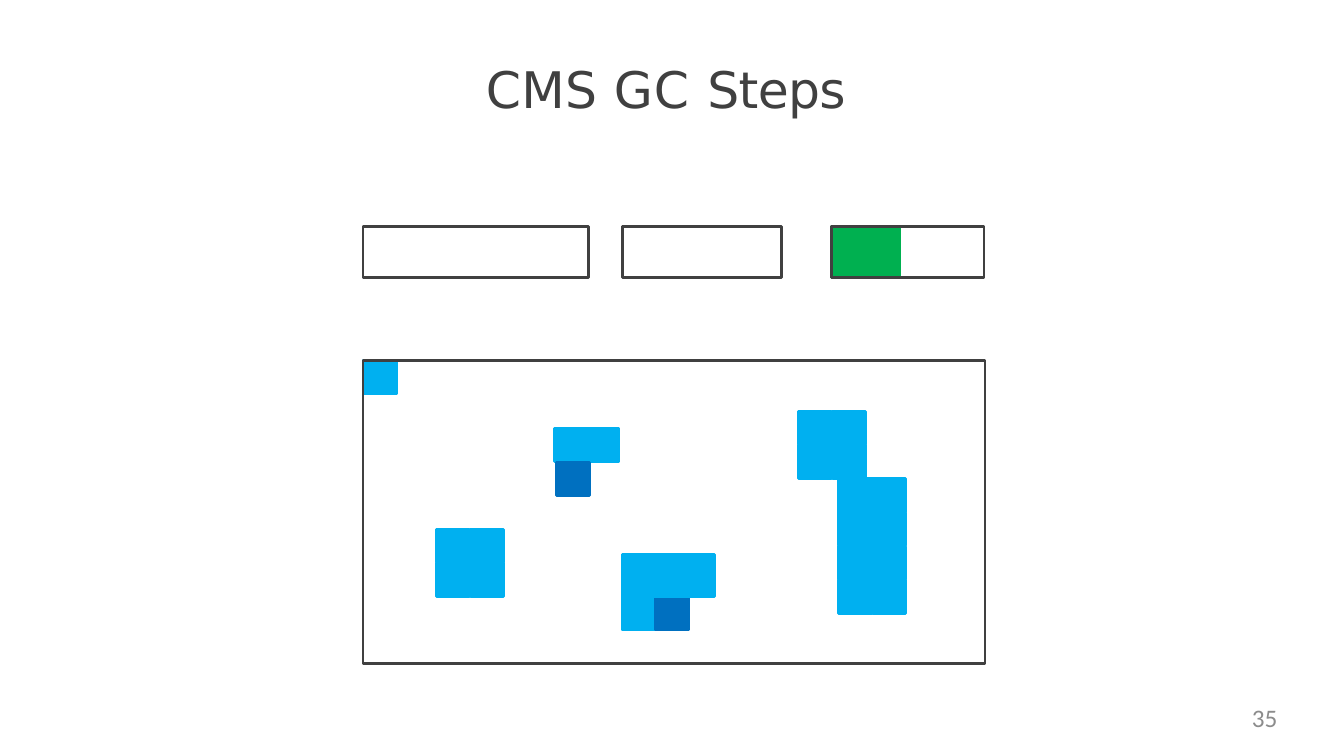
"""Builds the CMS GC Steps slide: survivor spaces above an old generation heap."""
from pptx import Presentation
from pptx.dml.color import RGBColor
from pptx.enum.shapes import MSO_SHAPE
from pptx.enum.text import PP_ALIGN
from pptx.util import Inches, Pt

RECT = MSO_SHAPE.RECTANGLE
LEFT, RIGHT = PP_ALIGN.LEFT, PP_ALIGN.RIGHT

COLORS = {"ink": "404040", "live": "00B0F0", "marked": "0070C0",
          "young": "00B050", "number": "8C8C8C"}
TITLE = [("CMS ", 20), ("GC ", 80), ("Steps", -50)]
PAGE = [("35", 0)]
CELL = 0.33
PITCH = 0.335
CELL_BLOCKS = [
    ("live", 3.6, 3.58, 1, 1),
    ("live", 5.5, 4.25, 1, 1),
    ("live", 5.81, 4.25, 1, 1),
    ("live", 4.33, 5.25, 2, 2),
    ("live", 6.17, 5.92, 1, 1),
    ("live", 7.92, 4.08, 2, 2),
    ("live", 8.32, 4.75, 2, 4),
    ("marked", 5.52, 4.59, 1, 1),
    ("marked", 6.5, 5.92, 1, 1),
]
WIDE_BLOCKS = [("live", 6.17, 5.5, 0.92, 0.42), ("young", 8.25, 2.25, 0.67, 0.5)]
FRAMES = [
    (3.6, 2.25, 2.24, 0.5),
    (6.17, 2.25, 1.58, 0.5),
    (8.25, 2.25, 1.51, 0.5),
    (3.6, 3.58, 6.17, 3),
]


def rgb(name):
    return RGBColor.from_string(COLORS[name])


def add_box(s, line, at, filled=True):
    sp = s.shapes.add_shape(RECT, *map(Inches, at))
    sp.shadow.inherit = False
    if filled:
        sp.fill.solid()
        sp.fill.fore_color.rgb = rgb(line)
    else:
        sp.fill.background()
    sp.line.color.rgb = rgb(line)
    sp.line.width = Pt(2)


def add_text(s, at, runs, color, align, wrap, font):
    tf = s.shapes.add_textbox(*map(Inches, at)).text_frame
    frame = {"margin_left": 0, "margin_right": 0, "margin_top": 0,
             "margin_bottom": 0, "word_wrap": wrap}
    for key, value in frame.items():
        setattr(tf, key, value)
    p = tf.paragraphs[0]
    p.alignment = align
    for text, spacing in runs:
        r = p.add_run()
        r.text = text
        for key, value in font.items():
            setattr(r.font, key, value)
        r.font.color.rgb = rgb(color)
        if spacing:
            r.font._element.set("spc", str(spacing))


def main():
    prs = Presentation()
    prs.slide_width, prs.slide_height = Inches(13.33), Inches(7.5)
    s = prs.slides.add_slide(prs.slide_layouts[6])
    add_text(s, (4.82, 0.58, 3.59, 0.63), TITLE, "ink", LEFT, False,
             {"name": "DejaVu Sans", "size": Pt(36)})
    for color, left, top, cols, rows in CELL_BLOCKS:
        for i in range(cols * rows):
            row, col = divmod(i, cols)
            add_box(s, color, (left + col * PITCH, top + row * PITCH, CELL, CELL))
    for color, *at in WIDE_BLOCKS:
        add_box(s, color, at)
    for at in FRAMES:
        add_box(s, "ink", at, filled=False)
    add_text(s, (9.6, 6.97, 3.07, 0.38), PAGE, "number", RIGHT, True,
             {"name": "Calibri", "size": Pt(18)})
    prs.save("out.pptx")


if __name__ == "__main__":
    main()
